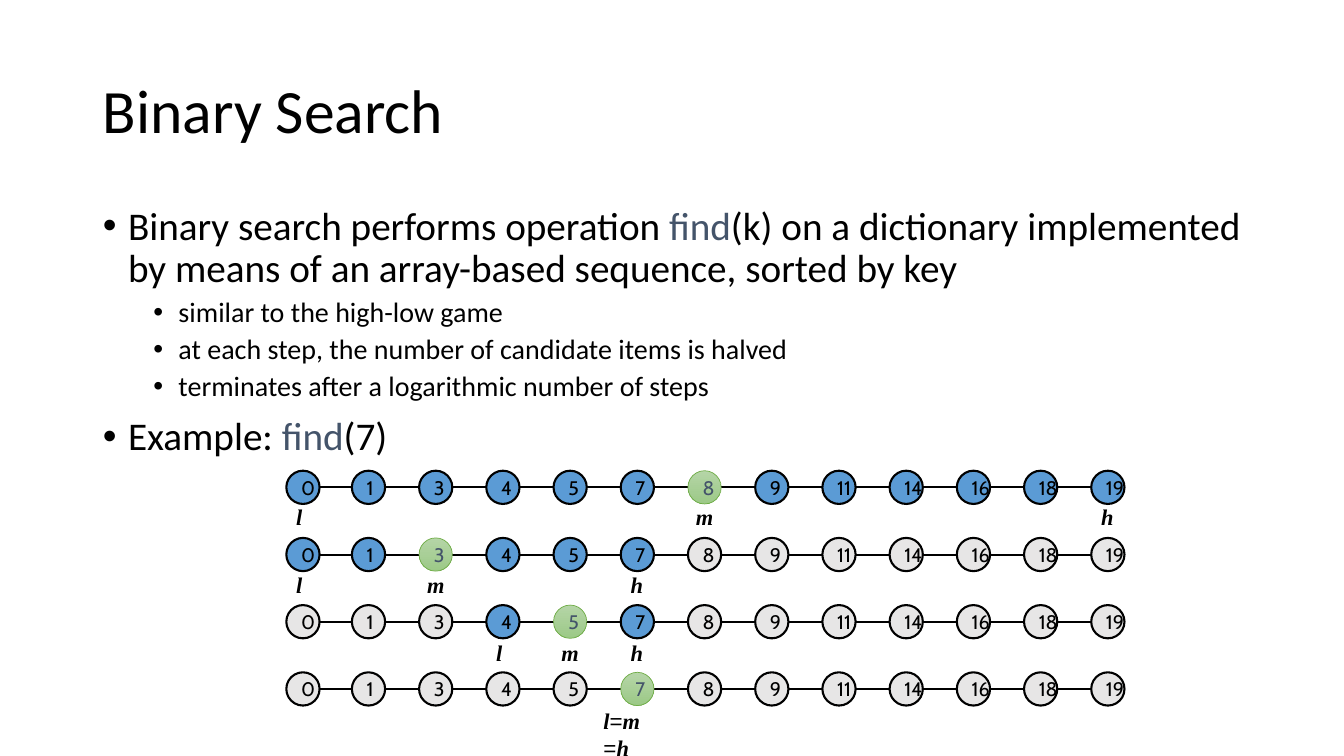
from lxml import etree
from pptx import Presentation
from pptx import util as u
from pptx.dml.color import RGBColor
from pptx.enum import shapes, text
from pptx.oxml.ns import qn

BLACK = RGBColor(0x00, 0x00, 0x00)
SLATE = RGBColor(0x44, 0x54, 0x6A)
BLUE = RGBColor(0x5B, 0x9B, 0xD5)
GRAY = RGBColor(0xE7, 0xE6, 0xE6)
GREEN = RGBColor(0x70, 0xAD, 0x47)
LIGHT = RGBColor(0xB5, 0xD5, 0xA7)
DARK = RGBColor(0x9C, 0xC9, 0x87)

KEYS = [0, 1, 3, 4, 5, 7, 8, 9, 11, 14, 16, 18, 19]
GOAL = 7
STEP = 2 / 3  # pitch of both columns and rows
SIZE = 0.33
COLS = [2.84] + [3.49 + STEP * i for i in range(len(KEYS) - 1)]
TOP = 4.67


def style(run, size, face, color=BLACK, bold=None, ital=None):
    font = run.font
    font.size, font.name, font.color.rgb = u.Pt(size), face, color
    font.bold, font.italic = bold, ital


def label(left, top, width, parts, wrap=False):
    """Add a pointer label; equals signs stay upright."""
    box = slide.shapes.add_textbox(*map(u.Inches, (left, top, width, 0.37)))
    frame = box.text_frame
    frame.word_wrap = wrap
    frame.auto_size = text.MSO_AUTO_SIZE.SHAPE_TO_FIT_TEXT
    for part in parts:
        run = frame.paragraphs[0].add_run()
        run.text = part
        name = part != "="
        style(run, 16, "Times New Roman" if name else "Arial", BLACK, name, name)


deck = Presentation()
deck.slide_width, deck.slide_height = u.Inches(13.33), u.Inches(7.5)
slide = deck.slides.add_slide(deck.slide_layouts[1])
title, body = slide.placeholders

for holder, top, height in ((title, 0.4, 1.45), (body, 2, 4.76)):
    holder.left, holder.width = u.Inches(0.92), u.Inches(11.5)
    holder.top, holder.height = u.Inches(top), u.Inches(height)
    holder.text_frame.auto_size = text.MSO_AUTO_SIZE.NONE

title.text_frame.text = "Binary Search"
title.text_frame.vertical_anchor = text.MSO_ANCHOR.MIDDLE
head = title.text_frame.paragraphs[0]
head.alignment, head.line_spacing = text.PP_ALIGN.LEFT, 0.9
style(head.runs[0], 44, "Calibri")

# Each item: level, then its runs; "find" takes the accent colour.
ITEMS = [
    (0, ["Binary search performs operation ", "find",
         "(k) on a dictionary implemented by means of an array-based sequence, sorted by key"]),
    (1, ["similar to the high-low game"]),
    (1, ["at each step, the number of candidate items is halved"]),
    (1, ["terminates after a logarithmic number of steps"]),
    (0, ["Example: ", "find", "(7)"]),
]
frame = body.text_frame
for n, (level, parts) in enumerate(ITEMS):
    para = frame.add_paragraph() if n else frame.paragraphs[0]
    para.level, para.line_spacing = level, 0.9
    para.space_before, para.space_after = u.Pt(5 if level else 10), u.Pt(0)
    props = para._p.get_or_add_pPr()
    props.set("marL", str(u.Inches(0.25 + 0.5 * level)))
    props.set("indent", str(u.Inches(-0.25)))
    etree.SubElement(props, qn("a:buFont")).set("typeface", "Arial")
    etree.SubElement(props, qn("a:buChar")).set("char", "•")
    for part in parts:
        run = para.add_run()
        run.text = part
        style(run, 20 if level else 28, "Calibri", SLATE if part == "find" else BLACK)

low, high, row = 0, len(KEYS) - 1, 0
while True:
    mid = (low + high) // 2
    top = TOP + STEP * row
    axis = u.Inches(top + SIZE / 2)
    line = slide.shapes.add_connector(
        shapes.MSO_CONNECTOR.STRAIGHT,
        u.Inches(COLS[0] + SIZE), axis, u.Inches(COLS[-1]), axis)
    line.line.color.rgb, line.line.width = BLACK, u.Pt(1.5)
    etree.SubElement(line._element.spPr, qn("a:effectLst"))

    for i, (key, left) in enumerate(zip(KEYS, COLS)):
        node = slide.shapes.add_shape(
            shapes.MSO_SHAPE.OVAL, *map(u.Inches, (left, top, SIZE, SIZE)))
        node.shadow.inherit = False
        if i == mid:
            node.fill.gradient()
            node.fill.gradient_angle = 270
            for stop, color in zip(node.fill.gradient_stops, (LIGHT, DARK)):
                stop.color.rgb = color
        else:
            node.fill.solid()
            node.fill.fore_color.rgb = BLUE if low <= i <= high else GRAY
        node.line.color.rgb = GREEN if i == mid else BLACK
        node.line.width = u.Pt(0.5 if i == mid else 1.5)
        frame = node.text_frame
        frame.text = str(key)
        frame.word_wrap = False
        frame.vertical_anchor = text.MSO_ANCHOR.MIDDLE
        frame.paragraphs[0].alignment = text.PP_ALIGN.LEFT
        style(frame.paragraphs[0].runs[0], 14, "Cabin", SLATE if i == mid else BLACK)

    under = 4.94 + 0.675 * row
    if low == high:
        label(COLS[mid] - 0.27, under, 0.85, ["l", "=", "m ", "=", "h"], True)
        break
    label(COLS[low], under, 0.26, ["l"])
    label(COLS[mid] - 0.02, under, 0.38, ["m"])
    label(COLS[high], under, 0.32, ["h"])
    if KEYS[mid] < GOAL:
        low = mid + 1
    else:
        high = mid - 1
    row += 1

deck.save("out.pptx")
